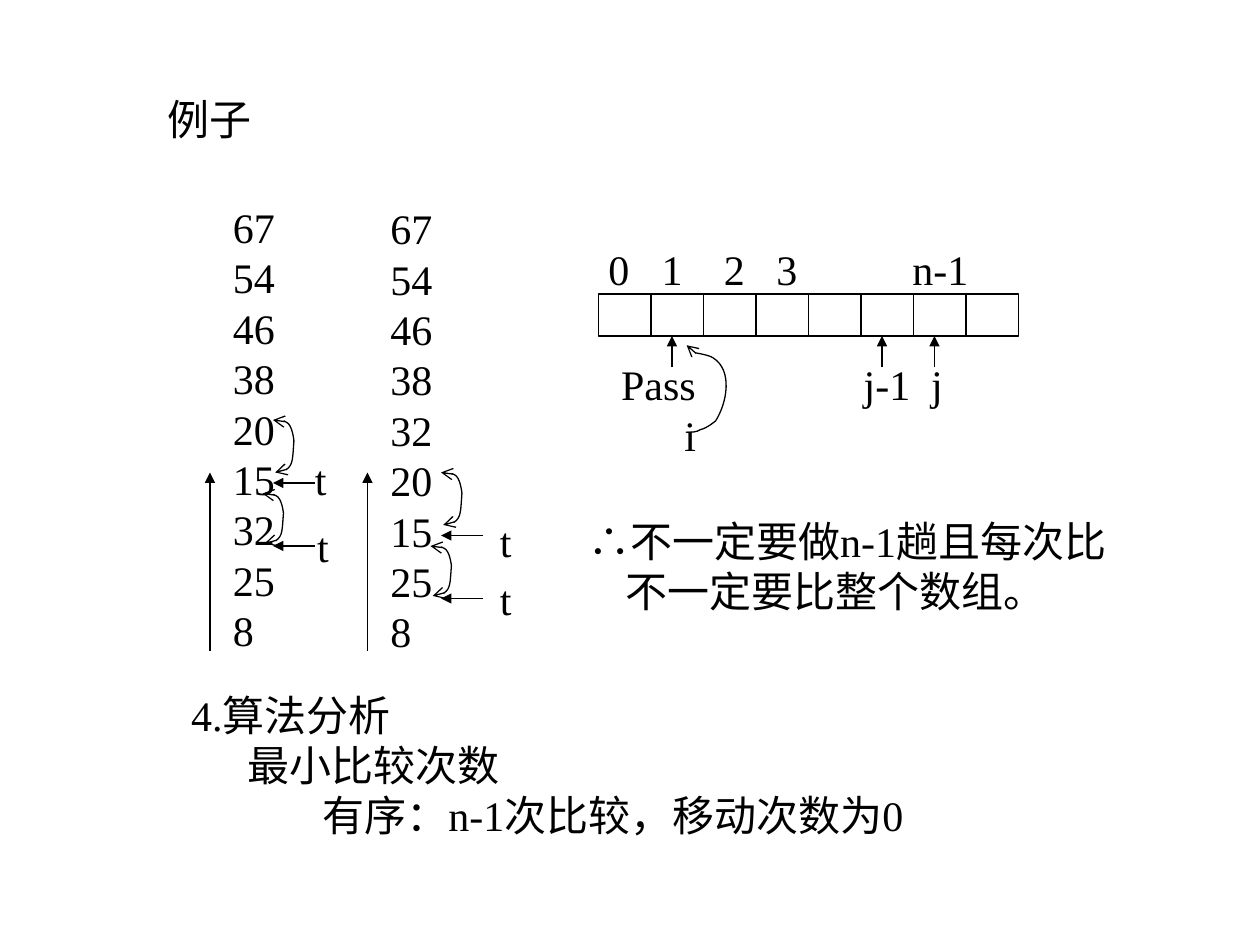
from lxml import etree
from pptx import Presentation
from pptx import util as u
from pptx.dml.color import RGBColor
from pptx.enum import shapes, text
from pptx.oxml.ns import qn

Pt = u.Pt
COLORS = {"ink": "000000"}
SERIF, SANS = "Times New Roman", "Arial"
LINE_HEIGHT = 28.8

TITLE = ("例子", (88.5, 49.7, 90, 36))
COLUMNS = [
    ((126, 111.6), ["67", "54", "46", "38", "20", "15", "32", "25", "8"]),
    ((216, 112.3), ["67", "54", "46", "38", "32", "20", "15", "25", "8"]),
]
LABEL_ROWS = [
    (135.4, [("0", 340.6), ("1", 370.9), ("2", 406.6), ("3", 436.6), ("n-1", 514.3)]),
    (201.6, [("Pass", 347.8), ("j-1", 486.5), ("j", 525)]),
    (230.4, [("i", 384)]),
]
T_LABELS = [(172.8, 255.6), (174.2, 293.8), (278.6, 290.9), (278.6, 324)]
NOTES = [
    ((329, 290.9, 318.2, 94), [("∴不一定要做n-1趟且每次比", 0),
                               ("不一定要比整个数组。", 21.5)]),
    ((102.2, 390.2, 564, 137), [("4.算法分析", 0), ("最小比较次数", 32),
                                ("有序：n-1次比较，移动次数为0", 75)]),
]
CELLS = {"count": 8, "left": 342, "top": 168, "width": 30, "height": 24}
PASS_ARROWS = [120, 210]
T_ARROWS = [(180, 276), (180, 312), (276, 306), (276, 342)]
INDEX_ARROWS = [384, 504, 534]
SWAP_CURVE = [(0, 0), (2.5, 0.6), (5, 0), (7.7, 1.3), (11.2, 2.8), (12, 12),
              (12, 12), (11.2, 21.8), (12, 30), (1.3, 30)]
SWAPS = [(156, 240, 1), (150, 282, 0.95), (252, 270, 1), (246, 312, 0.95)]
PASS_CURVE = [(392.4, 247), (395.3, 247), (398.2, 247), (400.3, 245.5),
              (404, 244.8), (409, 240.5), (409, 240.5),
              (415.4, 230.4), (419, 211.7), (407.5, 204.5),
              (405.4, 203), (397.4, 201.6), (396.7, 201.6),
              (395.3, 200.2), (393.8, 198.7), (392.4, 197.3)]


def ink():
    return RGBColor.from_string(COLORS["ink"])


def style_line(sp, head=None, tail=None):
    sp.line.color.rgb = ink()
    sp.line.width = Pt(0.75)
    ln = sp.line._get_or_add_ln()
    for tag, kind in (("a:headEnd", head), ("a:tailEnd", tail)):
        if kind:
            etree.SubElement(ln, qn(tag)).set("type", kind)


def write(sp, paragraphs):
    tf = sp.text_frame
    frame = {"word_wrap": True, "auto_size": text.MSO_AUTO_SIZE.NONE,
             "vertical_anchor": text.MSO_ANCHOR.TOP}
    for name, value in frame.items():
        setattr(tf, name, value)
    for i, (words, indent) in enumerate(paragraphs):
        p = tf.paragraphs[0] if i == 0 else tf.add_paragraph()
        props = p._p.get_or_add_pPr()
        props.set("marL", str(Pt(indent)))
        props.set("indent", "0")
        layout = {"alignment": text.PP_ALIGN.LEFT, "space_before": Pt(0),
                  "line_spacing": Pt(LINE_HEIGHT)}
        for name, value in layout.items():
            setattr(p, name, value)
        runs = [("∴", SANS), (words[1:], SERIF)] if words[0] == "∴" else [(words, SERIF)]
        for part, face in runs:
            r = p.add_run()
            r.text = part
            for name, value in {"size": Pt(24), "name": face, "bold": False}.items():
                setattr(r.font, name, value)
            r.font.color.rgb = ink()


def add_text(s, box, paragraphs):
    write(s.shapes.add_textbox(*map(Pt, box)), paragraphs)


def add_label(s, words, x, y):
    add_text(s, (x, y, 20 + 12 * len(words), 36), [(words, 0)])


def add_arrow(s, *ends):
    cx = s.shapes.add_connector(shapes.MSO_CONNECTOR.STRAIGHT, *map(Pt, ends))
    style_line(cx, tail="triangle")
    etree.SubElement(cx._element.spPr, qn("a:effectLst"))


def add_curve(s, points, head=None):
    points = [(Pt(x), Pt(y)) for x, y in points]
    builder = s.shapes.build_freeform(*points[0], scale=1.0)
    builder.add_line_segments(points[1:], close=False)
    sp = builder.convert_to_shape()
    segments = list(sp._element.iter(qn("a:lnTo")))
    for i in range(0, len(segments), 3):
        first, *others = segments[i:i + 3]
        first.tag = qn("a:cubicBezTo")
        for seg in others:
            first.append(seg[0])
            seg.getparent().remove(seg)
    sp.fill.background()
    style_line(sp, head, "arrow")
    sp.shadow.inherit = False


def main():
    prs = Presentation()
    prs.slide_width, prs.slide_height = Pt(720), Pt(540)
    s = prs.slides.add_slide(prs.slide_layouts[5])

    words, box = TITLE
    title = s.shapes.title
    for name, value in zip(("left", "top", "width", "height"), box):
        setattr(title, name, Pt(value))
    write(title, [(words, 0)])

    for (x, y), numbers in COLUMNS:
        add_text(s, (x, y, 40, 266.4), [(n, 0) for n in numbers])
    for x, y in T_LABELS:
        add_label(s, "t", x, y)

    for i in range(CELLS["count"]):
        sp = s.shapes.add_shape(
            shapes.MSO_SHAPE.RECTANGLE, Pt(CELLS["left"] + i * CELLS["width"]),
            Pt(CELLS["top"]), Pt(CELLS["width"]), Pt(CELLS["height"]))
        sp.fill.background()
        style_line(sp)
        sp.shadow.inherit = False

    for y, labels in LABEL_ROWS:
        for words, x in labels:
            add_label(s, words, x, y)
    for box, paragraphs in NOTES:
        add_text(s, box, paragraphs)

    for x in PASS_ARROWS:
        add_arrow(s, x, 372, x, 270)
    for x, y in T_ARROWS:
        add_arrow(s, x, y, x - 24, y)
    for x in INDEX_ARROWS:
        add_arrow(s, x, 210, x, 192)

    for x, y, scale in SWAPS:
        add_curve(s, [(x + dx, y + dy * scale) for dx, dy in SWAP_CURVE], "arrow")
    add_curve(s, PASS_CURVE)
    prs.save("out.pptx")


if __name__ == "__main__":
    main()
